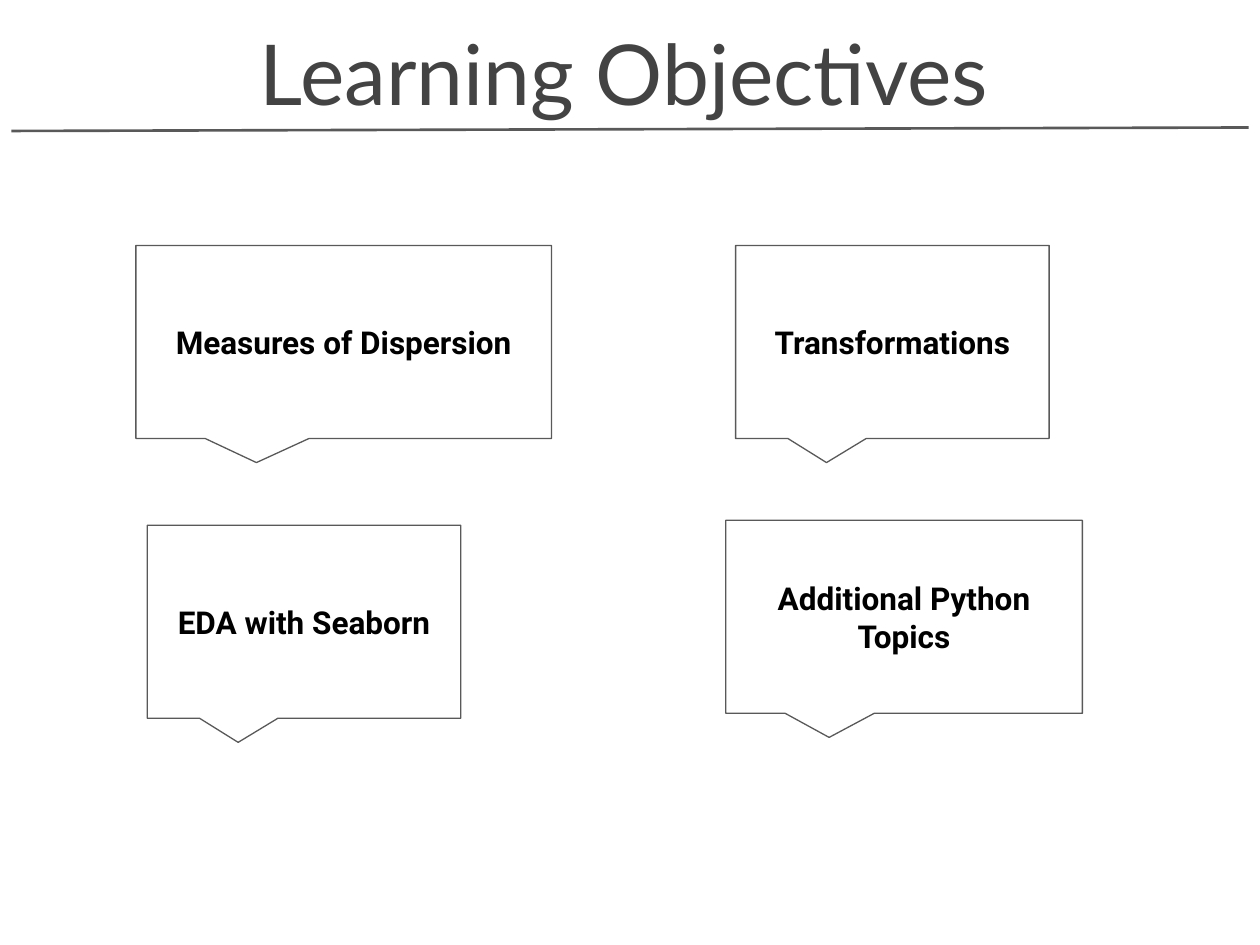
from lxml.etree import SubElement
from pptx import Presentation
from pptx.dml.color import RGBColor
from pptx.enum.shapes import MSO_CONNECTOR, MSO_SHAPE
from pptx.enum.text import MSO_ANCHOR, MSO_AUTO_SIZE, PP_ALIGN
from pptx.oxml.ns import qn
from pptx.util import Cm, Pt

INK, GREY, BLACK = "434343", "595959", "000000"
TITLE_FONT = {"name": "Lato", "size": Pt(48), "bold": False}
TOPIC_FONT = {"name": "Roboto", "size": Pt(18), "bold": True}
CALLOUT_HEIGHT = 3.89
TOPICS = [
    ("Measures of Dispersion", 2.74, 4.95, 8.38),
    ("Transformations", 14.83, 4.95, 6.32),
    ("EDA with Seaborn", 2.97, 10.59, 6.32),
    ("Additional Python Topics", 14.63, 10.49, 7.19),
]


def rgb(value):
    """Turn a hex string into a colour."""
    return RGBColor.from_string(value)


def write(sp, text, anchor, font, color):
    """Put one centred, formatted line of text in a shape."""
    tf = sp.text_frame
    frame = {"word_wrap": True, "auto_size": MSO_AUTO_SIZE.NONE, "vertical_anchor": anchor}
    for side in ("left", "top", "right", "bottom"):
        frame[f"margin_{side}"] = Cm(0.25)
    for name, value in frame.items():
        setattr(tf, name, value)
    p = tf.paragraphs[0]
    p.alignment = PP_ALIGN.CENTER
    r = p.add_run()
    r.text = text
    for name, value in font.items():
        setattr(r.font, name, value)
    r.font.color.rgb = rgb(color)


def add_header(s, text, left, top, width, height):
    """Place the title and the slightly sloping rule below it."""
    sp = s.shapes.title
    box = {"left": left + 3.07, "top": top, "width": width - 6.37, "height": height}
    for name, value in box.items():
        setattr(sp, name, Cm(value))
    write(sp, text, MSO_ANCHOR.BOTTOM, TITLE_FONT, INK)
    rule = s.shapes.add_connector(
        MSO_CONNECTOR.STRAIGHT,
        Cm(left), Cm(top + height - 0.08),
        Cm(left + width), Cm(top + height - 0.15),
    )
    rule.line.color.rgb = rgb(GREY)
    rule.line.width = Pt(1.5)
    SubElement(rule._element.spPr, qn("a:effectLst"))


def add_callout(s, text, left, top, width, height):
    """Place one topic in a square-cornered callout."""
    sp = s.shapes.add_shape(
        MSO_SHAPE.ROUNDED_RECTANGULAR_CALLOUT, Cm(left), Cm(top), Cm(width), Cm(height)
    )
    for i, value in enumerate((-0.21, 0.625, 0)):
        sp.adjustments[i] = value
    sp.shadow.inherit = False
    sp.fill.background()
    sp.line.color.rgb = rgb(GREY)
    sp.line.width = Pt(0.75)
    write(sp, text, MSO_ANCHOR.MIDDLE, TOPIC_FONT, BLACK)


def main():
    """Build and save the slide."""
    prs = Presentation()
    prs.slide_width, prs.slide_height = Cm(25.4), Cm(19.05)
    s = prs.slides.add_slide(prs.slide_layouts[5])
    add_header(s, "Learning Objectives", 0.23, 0.48, 24.94, 2.24)
    for text, left, top, width in TOPICS:
        add_callout(s, text, left, top, width, CALLOUT_HEIGHT)
    prs.save("out.pptx")


if __name__ == "__main__":
    main()
